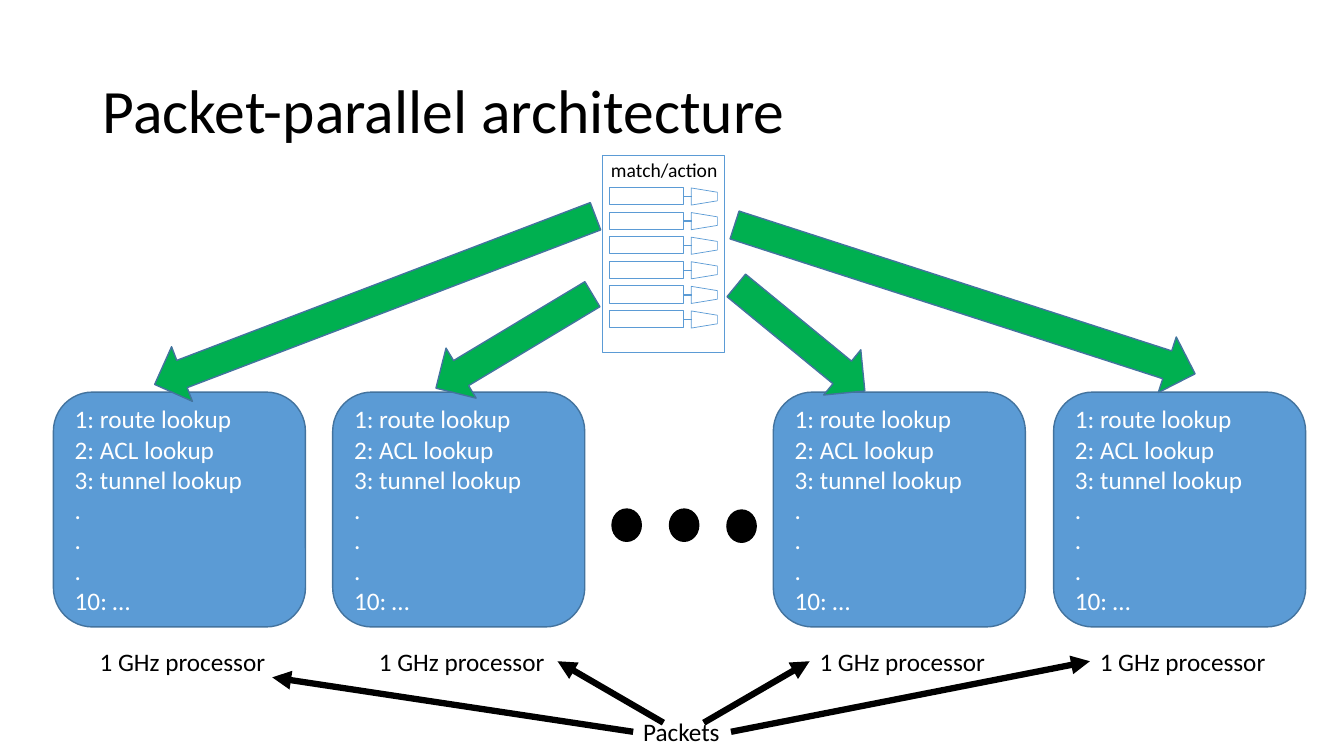
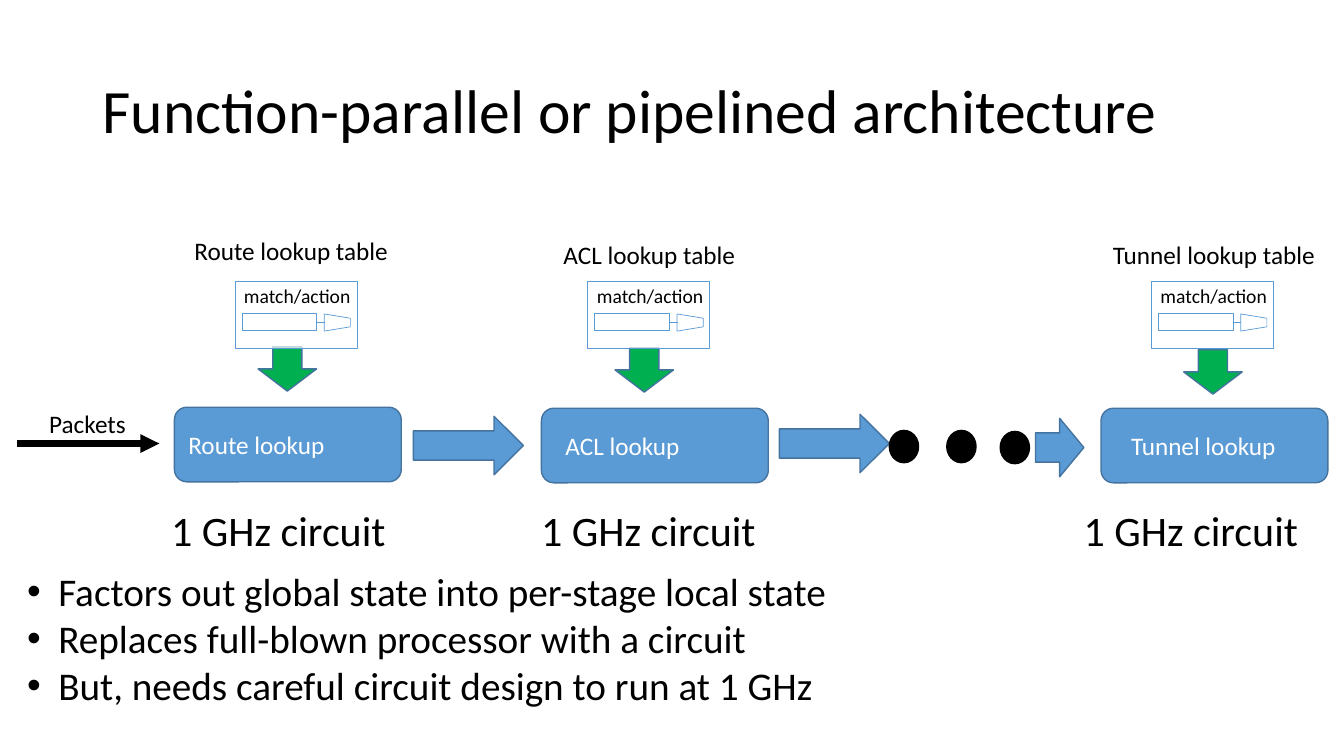
from lxml import etree
from pptx import Presentation
from pptx.dml.color import RGBColor
from pptx.enum.shapes import MSO_CONNECTOR, MSO_SHAPE
from pptx.enum.text import MSO_ANCHOR, MSO_AUTO_SIZE, PP_ALIGN
from pptx.oxml.ns import qn
from pptx.util import Inches, Pt

BLACK = RGBColor(0x00, 0x00, 0x00)
WHITE = RGBColor(0xFF, 0xFF, 0xFF)
BLUE = RGBColor(0x5B, 0x9B, 0xD5)
NAVY = RGBColor(0x43, 0x73, 0x9E)
GREEN = RGBColor(0x00, 0xB0, 0x50)
FONT = "Calibri"

RECT = MSO_SHAPE.RECTANGLE
ROUND = MSO_SHAPE.ROUNDED_RECTANGLE
OVAL = MSO_SHAPE.OVAL
TRAP = MSO_SHAPE.TRAPEZOID
DOWN = MSO_SHAPE.DOWN_ARROW
RIGHT = MSO_SHAPE.RIGHT_ARROW
STRAIGHT = MSO_CONNECTOR.STRAIGHT
MIDDLE = MSO_ANCHOR.MIDDLE
LEFT = PP_ALIGN.LEFT
GROW = MSO_AUTO_SIZE.SHAPE_TO_FIT_TEXT

STEPS = ["1: route lookup", "2: ACL lookup", "3: tunnel lookup",
         ".", ".", ".", "10: …"]
POINTS = ["Factors out global state into per-stage local state",
          "Replaces full-blown processor with a circuit",
          "But, needs careful circuit design to run at 1 GHz"]


class Deck:
    def __init__(self):
        self.prs = Presentation()
        self.prs.slide_width = Inches(13.33)
        self.prs.slide_height = Inches(7.5)

    def page(self, title):
        self.slide = self.prs.slides.add_slide(self.prs.slide_layouts[6])
        self.root = self.slide.shapes
        box = self.root.add_textbox(*map(Inches, (0.92, 0.4, 11.5, 1.45)))
        frame = box.text_frame
        frame.word_wrap = True
        frame.vertical_anchor = MIDDLE
        self.fill(frame, [title], 44)
        frame.paragraphs[0].line_spacing = 0.9

    def fill(self, frame, lines, size, color=BLACK, bullet=False):
        for i, line in enumerate(lines):
            para = frame.add_paragraph() if i else frame.paragraphs[0]
            para.alignment = LEFT
            if bullet:
                props = para._p.get_or_add_pPr()
                props.set("marL", str(Inches(0.31)))
                props.set("indent", str(-Inches(0.31)))
                etree.SubElement(props, qn("a:buFont")).set("typeface", "Arial")
                etree.SubElement(props, qn("a:buChar")).set("char", "•")
            run = para.add_run()
            run.text = line
            run.font.name = FONT
            run.font.size = Pt(size)
            run.font.color.rgb = color

    def text(self, x, y, w, h, lines, size=18, color=BLACK, bullet=False,
             pad=None, root=None):
        box = (root or self.root).add_textbox(*map(Inches, (x, y, w, h)))
        frame = box.text_frame
        frame.word_wrap = False
        frame.auto_size = GROW
        if pad:
            frame.margin_left = frame.margin_right = Inches(pad)
            frame.margin_top = frame.margin_bottom = Inches(pad / 2)
        self.fill(frame, lines, size, color, bullet)

    def shape(self, kind, x, y, w, h, fill=BLUE, line=NAVY, width=1, turn=0,
              root=None):
        item = (root or self.root).add_shape(kind, *map(Inches, (x, y, w, h)))
        item.shadow.inherit = False
        item.fill.solid()
        item.fill.fore_color.rgb = fill
        item.line.color.rgb = line
        item.line.width = Pt(width)
        item.rotation = turn
        return item

    def line(self, x1, y1, x2, y2, color=BLACK, width=4.5, head=True,
             root=None):
        item = (root or self.root).add_connector(
            STRAIGHT, *map(Inches, (x1, y1, x2, y2)))
        item.line.color.rgb = color
        item.line.width = Pt(width)
        if head:
            stroke = item.line._get_or_add_ln()
            etree.SubElement(stroke, qn("a:tailEnd")).set("type", "triangle")
        etree.SubElement(item._element.spPr, qn("a:effectLst"))

    def dots(self, spots):
        for x, y in spots:
            self.shape(OVAL, x, y, 0.29, 0.32, BLACK, BLACK)

    def table(self, x, y, h, rows):
        root = self.root.add_group_shape().shapes
        thin = {"fill": WHITE, "line": BLUE, "width": 0.5, "root": root}
        frame = self.shape(RECT, x, y, 1.21, h, **thin)
        tint = frame._element.spPr.find(qn("a:solidFill"))[0]
        etree.SubElement(tint, qn("a:alpha")).set("val", "70000")
        for i in range(rows):
            top = y + 0.32 + i * 1.22 / 5
            self.shape(RECT, x + 0.07, top, 0.74, 0.17, **thin)
            self.shape(TRAP, x + 0.93, top - 0.04, 0.17, 0.26, turn=90, **thin)
            self.line(x + 0.81, top + 0.09, x + 0.89, top + 0.09,
                      BLUE, 1, False, root)
        self.text(x - 0.05, y - 0.04, 1.43, 0.38, ["match/action"], 14,
                  pad=0.14, root=root)

    def chip(self, x):
        box = self.shape(ROUND, x, 3.89, 2.5, 2.33)
        box.text_frame.vertical_anchor = MIDDLE
        self.fill(box.text_frame, STEPS, 18, WHITE)
        self.text(x + 0.36, 6.36, 1.86, 0.4, ["1 GHz processor"])

    def stage(self, x, y, name, inset, width):
        self.shape(ROUND, x, y, 2.25, 0.74)
        self.text(x + inset, y + 0.17, width, 0.4, [name], color=WHITE)


def packet(deck):
    deck.page("Packet-parallel architecture")
    for x in (0.53, 3.3, 7.67, 10.45):
        deck.chip(x)
    for x, y, h, turn in ((3.43, 0.64, 4.68, 69.1), (4.81, 2.48, 1.81, 59),
                          (7.65, 2.53, 1.65, 309.4), (9.28, 0.57, 4.8, 287.9)):
        deck.shape(DOWN, x, y, 0.58, h, GREEN, turn=turn)
    deck.dots([(6.07, 5.05), (6.64, 5.05), (7.21, 5.06)])
    deck.text(6.28, 7.06, 0.97, 0.4, ["Packets"])
    for ends in ((6.58, 7.17, 5.53, 6.56), (6.28, 7.26, 2.7, 6.72),
                 (6.98, 7.17, 8.03, 6.56), (7.25, 7.26, 10.81, 6.56)):
        deck.line(*ends)
    deck.table(5.97, 1.54, 1.96, 6)


def pipeline(deck):
    deck.page("Function-parallel or pipelined architecture")
    for x, y, w, name in ((1.83, 2.29, 2.2, "Route"), (5.49, 2.33, 1.92, "ACL"),
                          (10.94, 2.33, 2.23, "Tunnel")):
        deck.text(x, y, w, 0.4, [f"{name} lookup table"])
    for x, y in ((2.56, 3.44), (6.1, 3.45), (11.74, 3.47)):
        deck.shape(DOWN, x, y, 0.58, 0.44, GREEN)
    for x, y, w in ((4.1, 4.13, 1.09), (7.73, 4.11, 1.09), (10.27, 4.15, 0.48)):
        deck.shape(RIGHT, x, y, w, 0.58)
    deck.line(0.17, 4.4, 1.58, 4.4)
    deck.text(0.39, 4, 0.97, 0.4, ["Packets"])
    deck.dots([(8.82, 4.27), (9.39, 4.27), (9.92, 4.28)])
    deck.stage(1.73, 4.04, "Route lookup", 0.04, 1.57)
    deck.stage(5.37, 4.05, "ACL lookup", 0.14, 1.35)
    deck.stage(10.92, 4.05, "Tunnel lookup", 0.2, 1.65)
    for x in (1.6, 5.27, 10.65):
        deck.text(x, 4.96, 2.56, 0.61, ["1 GHz circuit"], 30)
    deck.text(0.17, 5.58, 8.99, 1.51, POINTS, 28, bullet=True)
    for x in (5.83, 2.33, 11.42):
        deck.table(x, 2.79, 0.67, 1)


def main():
    deck = Deck()
    packet(deck)
    pipeline(deck)
    deck.prs.save("out.pptx")


if __name__ == "__main__":
    main()
